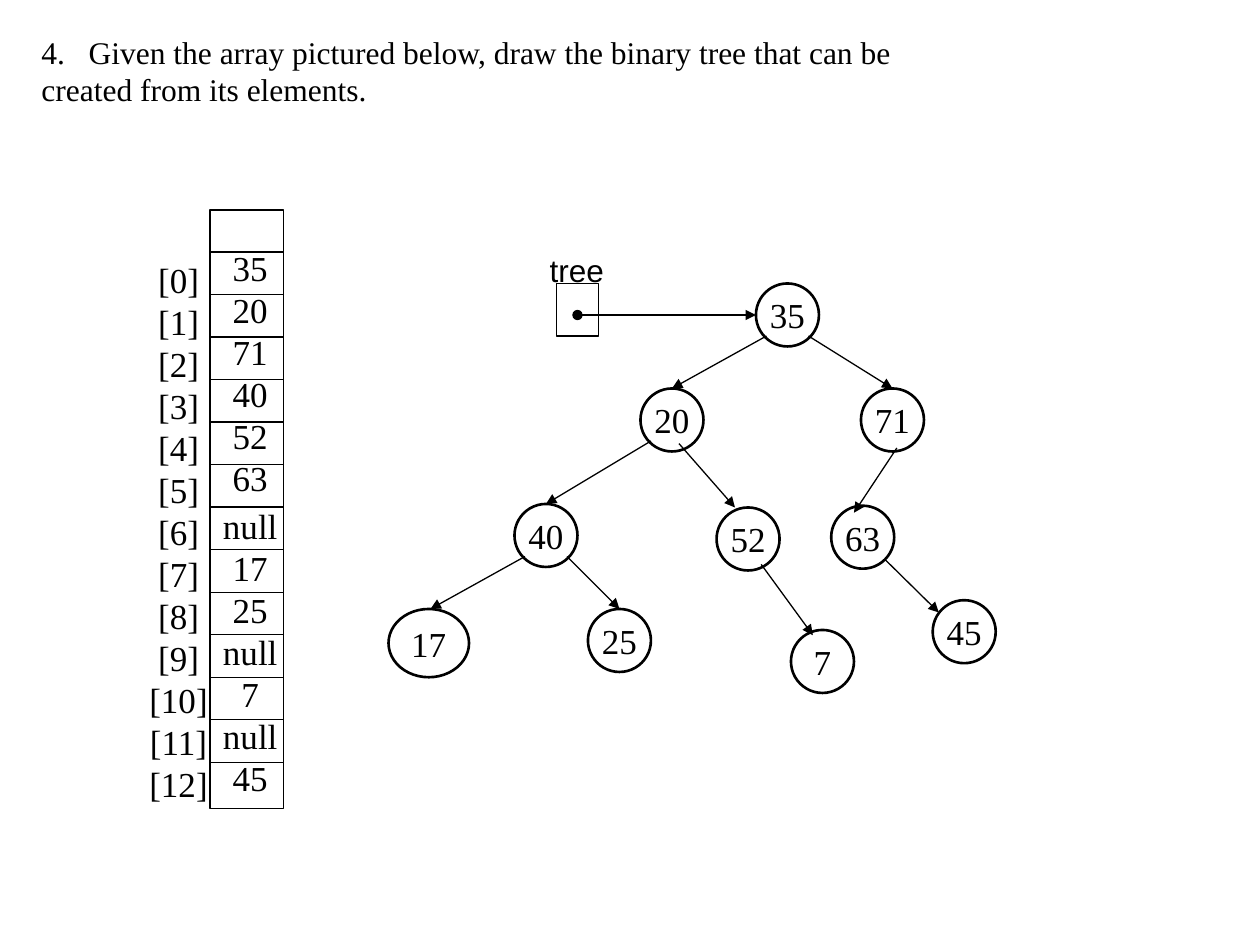
import pptx
import pptx.util
import pptx.dml.color
import pptx.enum.shapes
import pptx.enum.text
import pptx.oxml
import pptx.oxml.ns
from pptx.util import Pt

COLOURS = {"ink": "000000"}
SERIF, SANS = "Times New Roman", "Arial"
SHAPE = pptx.enum.shapes.MSO_SHAPE
ALIGN = pptx.enum.text.PP_ALIGN
ANCHOR = pptx.enum.text.MSO_ANCHOR
NODE_SIZE = 36
LINE_PITCH = 24


def ink():
    return pptx.dml.color.RGBColor.from_string(COLOURS["ink"])


def add_xml(parent, tag, **attributes):
    element = pptx.oxml.parse_xml(f"<a:{tag} {pptx.oxml.ns.nsdecls('a')}/>")
    for name, value in attributes.items():
        element.set(name, value)
    parent.append(element)


def format_para(para, size, font=SERIF, align=ALIGN.CENTER):
    para.alignment = align
    para.font.size = Pt(size)
    para.font.name = font
    para.font.color.rgb = ink()


def add_outline(page, kind, left, top, width, height, weight):
    shape = page.shapes.add_shape(kind, Pt(left), Pt(top), Pt(width), Pt(height))
    shape.shadow.inherit = False
    shape.fill.background()
    shape.line.color.rgb = ink()
    shape.line.width = Pt(weight)
    return shape


def add_line(page, x1, y1, x2, y2, head=None, tail=None):
    line = page.shapes.add_connector(
        pptx.enum.shapes.MSO_CONNECTOR.STRAIGHT, Pt(x1), Pt(y1), Pt(x2), Pt(y2))
    line.line.color.rgb = ink()
    line.line.width = Pt(0.75)
    for tag, kind in (("headEnd", head), ("tailEnd", tail)):
        if kind:
            add_xml(line.line._get_or_add_ln(), tag, type=kind)
    add_xml(line._element.spPr, "effectLst")


def add_text(page, lines, left, top, width, height, size, font=SERIF,
             align=ALIGN.CENTER, pitch=None):
    box = page.shapes.add_textbox(Pt(left), Pt(top), Pt(width), Pt(height))
    frame = box.text_frame
    frame.word_wrap = False
    frame.text = "\n".join(lines)
    for para in frame.paragraphs:
        format_para(para, size, font, align)
        if pitch:
            para.line_spacing = Pt(pitch)
    return frame


def add_question(page, left, top, width, height):
    title = page.shapes.title
    title.left, title.top, title.width, title.height = map(Pt, (left, top, width, height))
    frame = title.text_frame
    frame.word_wrap = True
    frame.auto_size = pptx.enum.text.MSO_AUTO_SIZE.NONE
    frame.vertical_anchor = ANCHOR.TOP
    frame.text = ("Given the array pictured below, draw the binary tree that can be\n"
                  "created from its elements.")
    for para in frame.paragraphs:
        format_para(para, 18, align=ALIGN.LEFT)
    # The first line carries the question number
    properties = frame.paragraphs[0]._p.get_or_add_pPr()
    properties.set("marL", str(Pt(27)))
    properties.set("indent", str(-Pt(27)))
    bullet = pptx.oxml.parse_xml(
        f'<a:buAutoNum {pptx.oxml.ns.nsdecls("a")} type="arabicPeriod" startAt="4"/>')
    properties.insert(0, bullet)


def add_array(page, left, top, width, height):
    values = ["35", "20", "71", "40", "52", "63", "null", "17", "25",
              "null", "7", "null", "45"]
    column, first_row, row = 42, 24, 24.3
    column_left = left + width - column
    add_outline(page, SHAPE.RECTANGLE, column_left, top, column, height, 0.75)
    for index in range(len(values)):
        y = top + first_row + index * row
        add_line(page, column_left, y, column_left + column, y)
    # Indexes and values
    text_height = len(values) * LINE_PITCH + 8
    add_text(page, [f"[{index}]" for index in range(len(values))],
             left, top + 24, 48, text_height, 20, pitch=LINE_PITCH)
    frame = add_text(page, values, column_left, top + 17.5, 46, text_height, 20,
                     pitch=LINE_PITCH)
    frame.paragraphs[values.index("null")].space_before = Pt(3)


def add_tree(page, left, top):
    nodes = {"35": (212, 22), "20": (146, 82), "71": (272, 82), "40": (74, 148),
             "52": (189.5, 150), "63": (255, 149), "17": (2, 208),
             "25": (116, 208), "7": (232, 220), "45": (313, 203)}
    wide_nodes = {"17": (46, 39)}
    edges = [(218, 52, 164, 82), (242, 52, 290, 82), (152, 112, 92, 148),
             (168, 113.5, 200, 150), (292.5, 116, 268, 153), (80, 178, 26, 208),
             (104, 178, 134, 208), (215, 182.5, 244.5, 223), (286, 180, 316.5, 210)]
    # Nodes
    for label, (x, y) in nodes.items():
        width, height = wide_nodes.get(label, (NODE_SIZE, NODE_SIZE))
        node = add_outline(page, SHAPE.OVAL, left + x, top + y, width, height, 1.5)
        frame = node.text_frame
        frame.word_wrap = False
        frame.vertical_anchor = ANCHOR.MIDDLE
        frame.text = label
        format_para(frame.paragraphs[0], 20)
    # Edges
    for x1, y1, x2, y2 in edges:
        add_line(page, left + x1, top + y1, left + x2, top + y2, tail="triangle")
    # Root pointer
    add_text(page, ["tree"], left + 87, top, 46, 29, 18, SANS, ALIGN.LEFT)
    add_outline(page, SHAPE.RECTANGLE, left + 98, top + 22, 24, 30, 0.75)
    add_line(page, left + 110, top + 40, left + 212, top + 40, "oval", "triangle")


deck = pptx.Presentation()
deck.slide_width, deck.slide_height = Pt(720), Pt(540)
page = deck.slides.add_slide(deck.slide_layouts[5])
add_question(page, 16.5, 15, 520, 51)
add_array(page, 78, 120, 84, 342)
add_tree(page, 220, 140)
deck.save("out.pptx")
